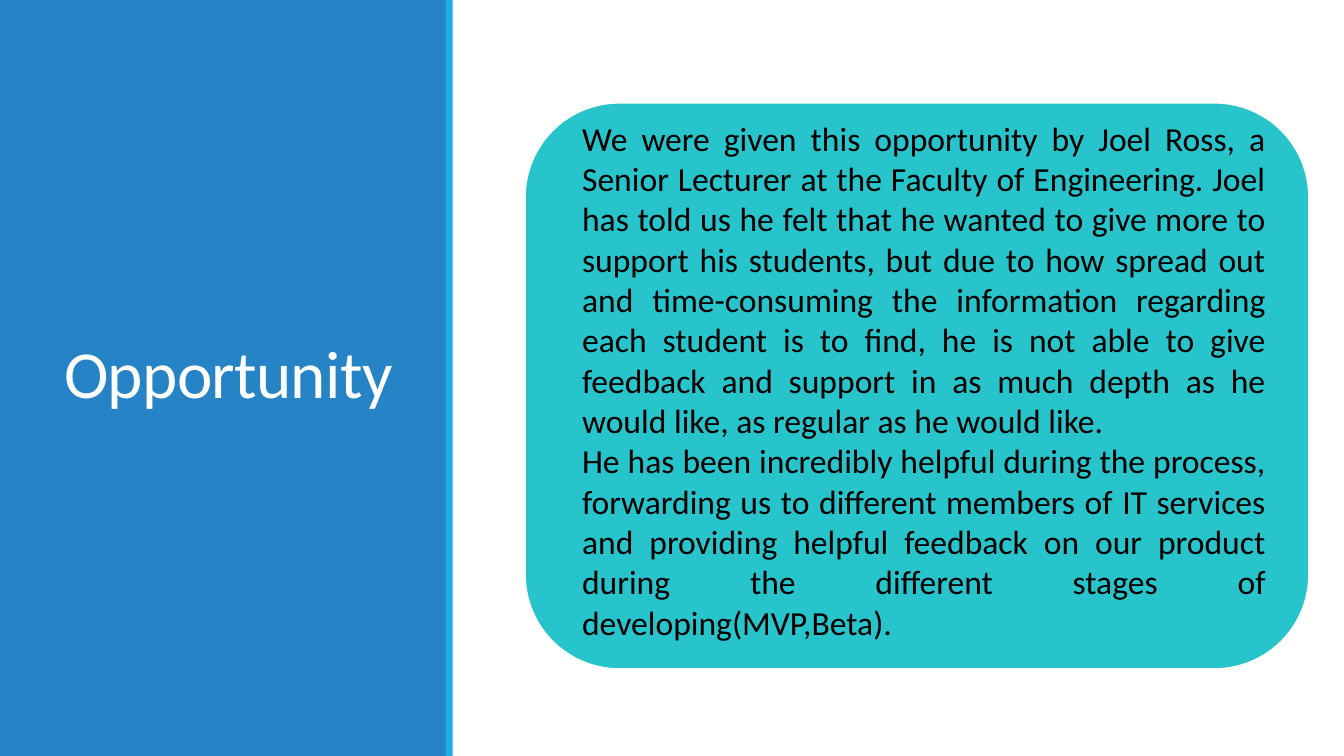
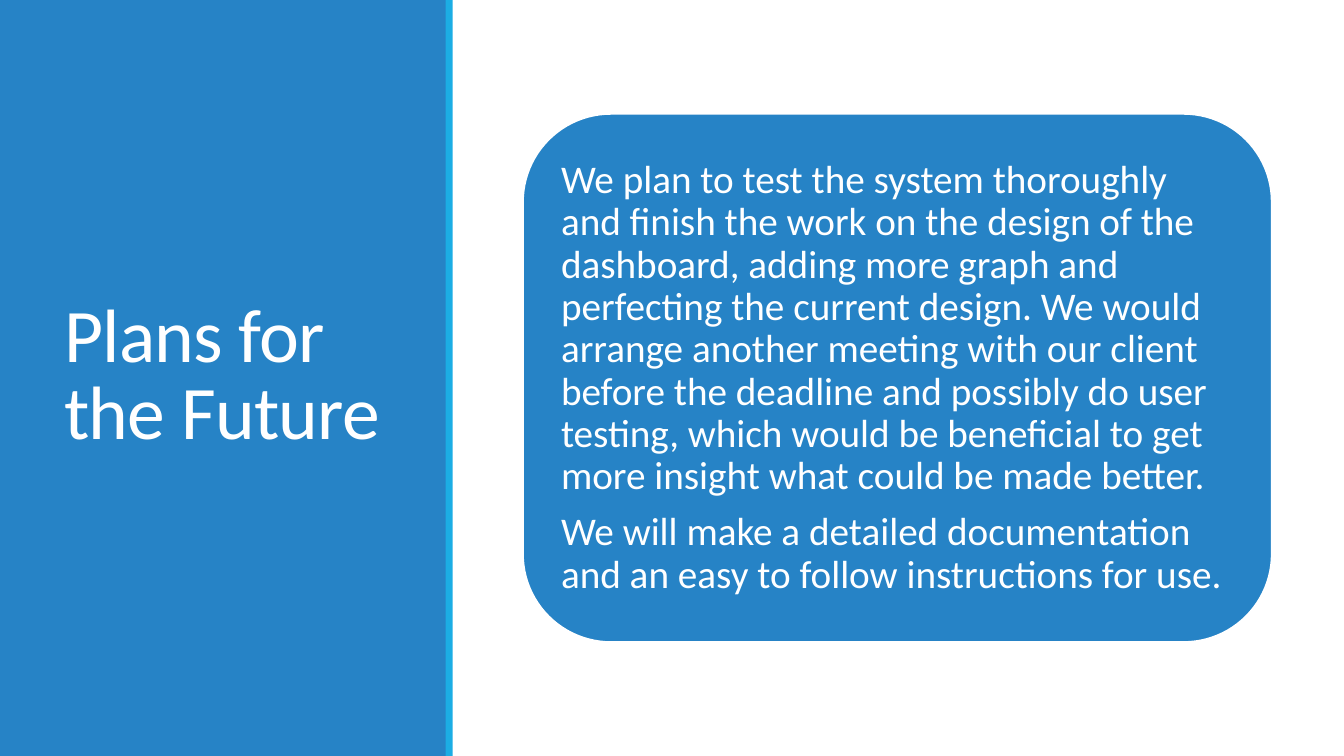
import pptx
import pptx.dml.color
import pptx.enum.shapes
import pptx.enum.text
import pptx.util

Cm = pptx.util.Cm
Pt = pptx.util.Pt
ALIGN = pptx.enum.text.PP_ALIGN
ANCHOR = pptx.enum.text.MSO_ANCHOR
SHAPE = pptx.enum.shapes.MSO_SHAPE

# Shared style, lengths in centimetres
SLIDE_WIDTH, SLIDE_HEIGHT = 33.87, 19.05
BLUE, CYAN, TEAL = "2683C6", "1CADE4", "28C4CC"
WHITE, BLACK = "FFFFFF", "000000"
FONT = "Calibri"
SIDEBAR = (0, 0, 11.25, SLIDE_HEIGHT)
STRIPE_WIDTH = 0.18
TITLE_LEFT, TITLE_TOP, TITLE_HEIGHT = 1.37, 1.68, 15.67
TITLE_TRACKING = -50  # hundredths of a point

SLIDES = [
    {
        "title": "Opportunity",
        "title_size": 48,
        "title_width": 8.94,
        "panel": (13.23, 2.59, 19.76, 14.27),
        "panel_color": TEAL,
        "text_offset": (1.19, 0.25),
        "text_size": (17.73, 13.59),
        "frame": {"vertical_anchor": ANCHOR.TOP},
        "font": {"size": Pt(24), "color": BLACK},
        "paragraph": {"alignment": ALIGN.JUSTIFY},
        "texts": [
            "We were given this opportunity by Joel Ross, a Senior Lecturer at the "
            "Faculty of Engineering. Joel has told us he felt that he wanted to give "
            "more to support his students, but due to how spread out and "
            "time-consuming the information regarding each student is to find, he is "
            "not able to give feedback and support in as much depth as he would like, "
            "as regular as he would like.",
            "He has been incredibly helpful during the process, forwarding us to "
            "different members of IT services and providing helpful feedback on our "
            "product during the different stages of developing(MVP,Beta).",
        ],
    },
    {
        "title": "Plans for the Future",
        "title_size": 54,
        "title_width": 8.56,
        "panel": (13.18, 2.87, 18.87, 13.31),
        "panel_color": BLUE,
        "text_offset": (0.66, 0.66),
        "text_size": (17.58, 12),
        "frame": {
            "vertical_anchor": ANCHOR.MIDDLE,
            "margin_left": Cm(0.3),
            "margin_top": Cm(0.3),
            "margin_right": Cm(0.3),
            "margin_bottom": Cm(0.3),
        },
        "font": {"size": Pt(28), "color": WHITE},
        "paragraph": {"line_spacing": 0.9, "space_after": Pt(9.8)},
        "texts": [
            "We plan to test the system thoroughly and finish the work on the design "
            "of the dashboard, adding more graph and perfecting the current design. "
            "We would arrange another meeting with our client before the deadline and "
            "possibly do user testing, which would be beneficial to get more insight "
            "what could be made better.",
            "We will make a detailed documentation and an easy to follow instructions "
            "for use.",
        ],
    },
]


def rgb(color):
    return pptx.dml.color.RGBColor.from_string(color)


def apply_format(target, values):
    for name, value in values.items():
        if name == "color":
            target.color.rgb = rgb(value)
        else:
            setattr(target, name, value)


def add_block(slide, kind, box, fill, line=None):
    shape = slide.shapes.add_shape(kind, *map(Cm, box))
    shape.shadow.inherit = False
    shape.fill.solid()
    shape.fill.fore_color.rgb = rgb(fill)
    if line:
        apply_format(shape.line, {"color": line, "width": Pt(1.25)})
    else:
        shape.line.fill.background()


def add_text(slide, box, texts, font, paragraph_format, frame_format):
    frame = slide.shapes.add_textbox(*map(Cm, box)).text_frame
    apply_format(frame, {"word_wrap": True, **frame_format})
    for index, text in enumerate(texts):
        paragraph = frame.add_paragraph() if index else frame.paragraphs[0]
        apply_format(paragraph, paragraph_format)
        run = paragraph.add_run()
        run.text = text
        apply_format(run.font, {"name": FONT, **font})
    return frame


def add_sidebar(slide, box, content):
    left, top, width, height = box
    # Blue band with a cyan edge
    add_block(slide, SHAPE.RECTANGLE, box, BLUE)
    add_block(slide, SHAPE.RECTANGLE, (left + width - 0.02, top, STRIPE_WIDTH, height), CYAN)
    # Title
    title_box = (left + TITLE_LEFT, top + TITLE_TOP, content["title_width"], TITLE_HEIGHT)
    frame = add_text(
        slide, title_box, [content["title"]],
        {"size": Pt(content["title_size"]), "color": WHITE},
        {"line_spacing": 0.85}, {"vertical_anchor": ANCHOR.MIDDLE},
    )
    run = frame.paragraphs[0].runs[0]
    run._r.get_or_add_rPr().set("spc", str(TITLE_TRACKING))


def add_panel(slide, box, content):
    add_block(slide, SHAPE.ROUNDED_RECTANGLE, box, content["panel_color"], WHITE)
    # Body text, placed from the corner of the panel
    offset_left, offset_top = content["text_offset"]
    text_box = (box[0] + offset_left, box[1] + offset_top, *content["text_size"])
    add_text(slide, text_box, content["texts"], content["font"],
             content["paragraph"], content["frame"])


def main():
    presentation = pptx.Presentation()
    presentation.slide_width = Cm(SLIDE_WIDTH)
    presentation.slide_height = Cm(SLIDE_HEIGHT)
    for content in SLIDES:
        slide = presentation.slides.add_slide(presentation.slide_layouts[6])
        add_sidebar(slide, SIDEBAR, content)
        add_panel(slide, content["panel"], content)
    presentation.save("out.pptx")


if __name__ == "__main__":
    main()
